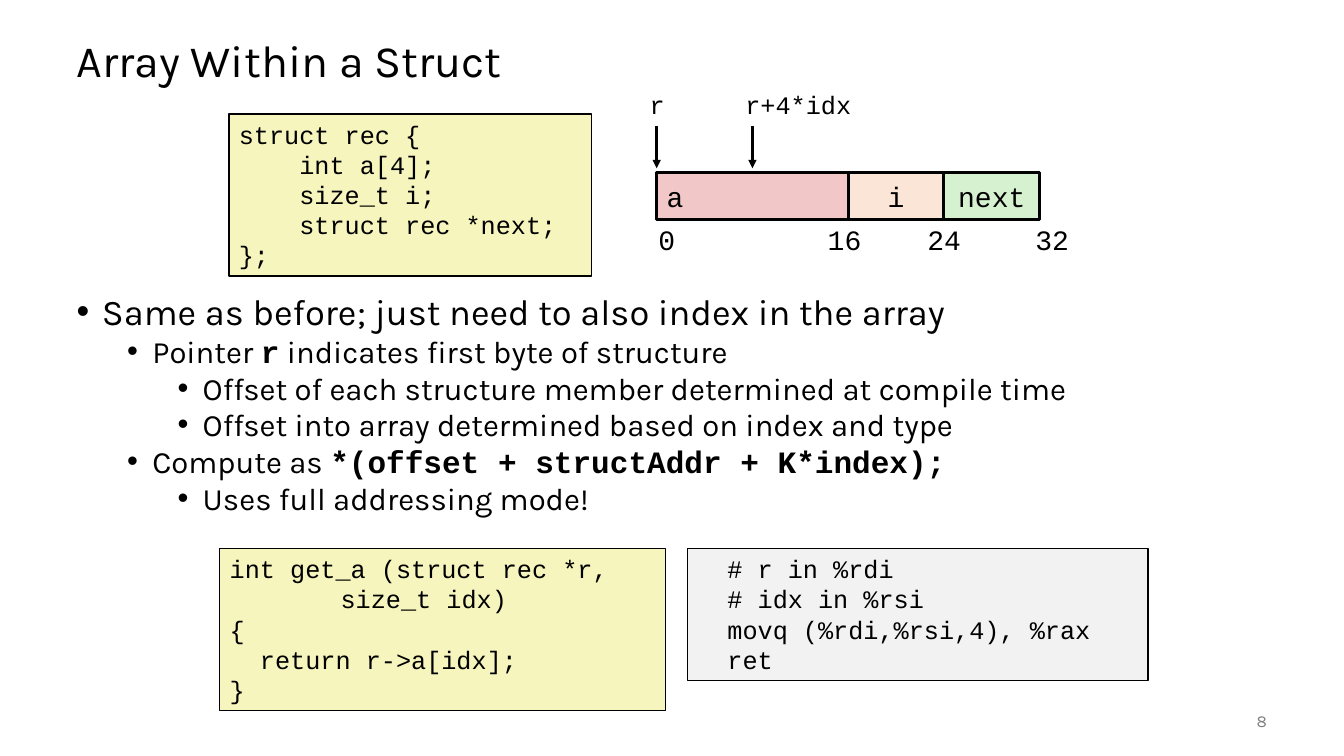
from lxml import etree
from pptx import Presentation
from pptx.dml.color import RGBColor
from pptx.enum.shapes import MSO_CONNECTOR, MSO_SHAPE
from pptx.enum.text import MSO_ANCHOR, MSO_AUTO_SIZE, PP_ALIGN
from pptx.oxml.ns import qn
from pptx.util import Cm, Pt

BLACK = RGBColor(0x00, 0x00, 0x00)
GREY = RGBColor(0x80, 0x80, 0x80)
C_YELLOW = RGBColor(0xF6, 0xF5, 0xBD)
ASM_GREY = RGBColor(0xF2, 0xF2, 0xF2)
ARRAY_PINK = RGBColor(0xF1, 0xC7, 0xC7)
INDEX_PEACH = RGBColor(0xFB, 0xE5, 0xD6)
NEXT_GREEN = RGBColor(0xD5, 0xF1, 0xCF)

RECT = MSO_SHAPE.RECTANGLE
STRAIGHT = MSO_CONNECTOR.STRAIGHT
LEFT, CENTER, RIGHT = PP_ALIGN.LEFT, PP_ALIGN.CENTER, PP_ALIGN.RIGHT
TOP, MIDDLE = MSO_ANCHOR.TOP, MSO_ANCHOR.MIDDLE
NO_AUTOFIT = MSO_AUTO_SIZE.NONE

SANS = "Karla"
MONO = "Courier New"

STRUCT_CODE = ["struct rec {", "    int a[4];", "    size_t i;",
               "    struct rec *next;", "};"]
GETTER_CODE = ["int get_a (struct rec *r,", "\t    size_t idx)", "{",
               "  return r->a[idx];", "}"]
ASM_CODE = ["  # r in %rdi", "  # idx in %rsi",
            "  movq (%rdi,%rsi,4), %rax", "  ret"]

POINTS = [
    (0, [("Same as before; just need to also index in the array", SANS)]),
    (1, [("Pointer ", SANS), ("r", MONO),
         (" indicates first byte of structure", SANS)]),
    (2, [("Offset of each structure member determined at compile time", SANS)]),
    (2, [("Offset into array determined based on index and type", SANS)]),
    (1, [("Compute as ", SANS), ("*(offset + structAddr + K*index);", MONO)]),
    (2, [("Uses full addressing mode!", SANS)]),
]

STRUCT_BYTES = 32
MEMBERS = [("a", 0, 16, ARRAY_PINK, LEFT), ("i", 16, 8, INDEX_PEACH, CENTER),
           ("next", 24, 8, NEXT_GREEN, CENTER)]
POINTERS = [("r", 0, 0.89), ("r+4*idx", 8, 3.2)]
OFFSETS = [(0, 0.91, 0.25), (16, 1.37, -0.08), (24, 1.37, 0.02), (32, 1.37, 0.33)]


def add_run(paragraph, text, font, size, color=BLACK, bold=False):
    run = paragraph.add_run()
    run.text = text
    run.font.name = font
    run.font.size = Pt(size)
    run.font.bold = bold
    run.font.color.rgb = color


def set_frame(frame, anchor=TOP, wrap=True):
    frame.word_wrap = wrap
    frame.auto_size = NO_AUTOFIT
    frame.vertical_anchor = anchor


def place(shape, box):
    shape.left, shape.top, shape.width, shape.height = map(Cm, box)


def add_label(slide, box, text, font, size, color=BLACK, align=LEFT, anchor=TOP):
    frame = slide.shapes.add_textbox(*map(Cm, box)).text_frame
    set_frame(frame, anchor, False)
    frame.paragraphs[0].alignment = align
    add_run(frame.paragraphs[0], text, font, size, color)


def add_panel(slide, box, lines, fill, line_width, size, align=LEFT, anchor=TOP):
    panel = slide.shapes.add_shape(RECT, *map(Cm, box))
    panel.shadow.inherit = False
    panel.fill.solid()
    panel.fill.fore_color.rgb = fill
    panel.line.color.rgb = BLACK
    panel.line.width = Pt(line_width)
    frame = panel.text_frame
    set_frame(frame, anchor)
    for number, line in enumerate(lines):
        paragraph = frame.add_paragraph() if number else frame.paragraphs[0]
        paragraph.alignment = align
        add_run(paragraph, line, MONO, size)


def add_arrow(slide, x, top, bottom):
    arrow = slide.shapes.add_connector(STRAIGHT, Cm(x), Cm(top), Cm(x), Cm(bottom))
    arrow.line.color.rgb = BLACK
    arrow.line.width = Pt(2)
    etree.SubElement(arrow.line._get_or_add_ln(), qn("a:tailEnd"), type="triangle")
    etree.SubElement(arrow._element.spPr, qn("a:effectLst"))


def add_title(slide, box):
    title = slide.shapes.title
    place(title, box)
    set_frame(title.text_frame, MIDDLE)
    paragraph = title.text_frame.paragraphs[0]
    paragraph.alignment = LEFT
    paragraph.line_spacing = 0.9
    add_run(paragraph, "Array Within a Struct", SANS, 32)


def add_points(slide, box):
    body = slide.placeholders[1]
    place(body, box)
    frame = body.text_frame
    set_frame(frame)
    for number, (level, pieces) in enumerate(POINTS):
        paragraph = frame.add_paragraph() if number else frame.paragraphs[0]
        paragraph.level = level
        paragraph.line_spacing = 0.8
        paragraph.space_before = Pt(5 if number else 0)
        properties = paragraph._p.get_or_add_pPr()
        properties.set("marL", str(Cm(0.635 + 1.27 * level)))
        properties.set("indent", str(-Cm(0.635)))
        etree.SubElement(properties, qn("a:buFont"), typeface="Arial")
        etree.SubElement(properties, qn("a:buChar"), char="•")
        for text, font in pieces:
            add_run(paragraph, text, font, 22.2 if level else 25.9, bold=font == MONO)


def add_memory_layout(slide, box):
    left, top, width, height = box
    byte = width / STRUCT_BYTES
    bar_top = top + 2.21
    bar_height = 1.19
    for text, start, length, fill, align in MEMBERS:
        add_panel(slide, (left + start * byte, bar_top, length * byte, bar_height),
                  [text], fill, 2, 20, align, MIDDLE)
    for text, start, label_width in POINTERS:
        x = left + start * byte
        add_arrow(slide, x, top + 1.05, bar_top - 0.1)
        add_label(slide, (x - 0.43, top, label_width, 1.02), text, MONO, 18)
    for offset, label_width, shift in OFFSETS:
        x = left + offset * byte + shift - label_width / 2
        add_label(slide, (x, top + height - 1.09, label_width, 1.09),
                  str(offset), MONO, 20)


def add_slide(deck):
    slide = deck.slides.add_slide(deck.slide_layouts[1])
    add_title(slide, (1.68, 0.64, 30.48, 1.9))
    add_points(slide, (1.68, 7.37, 30.48, 6.15))
    add_panel(slide, (5.77, 2.87, 9.14, 4.09), STRUCT_CODE, C_YELLOW, 1, 18)
    add_memory_layout(slide, (16.55, 2.13, 9.65, 4.45))
    add_panel(slide, (5.54, 13.82, 11.23, 4.09), GETTER_CODE, C_YELLOW, 1, 18)
    add_panel(slide, (17.32, 13.82, 11.61, 3.33), ASM_CODE, ASM_GREY, 1, 18)
    add_label(slide, (29.64, 17.65, 2.54, 1.02), "8", SANS, 12, GREY, RIGHT, MIDDLE)


def main():
    deck = Presentation()
    deck.slide_width = Cm(33.87)
    deck.slide_height = Cm(19.05)
    add_slide(deck)
    deck.save("out.pptx")


if __name__ == "__main__":
    main()
